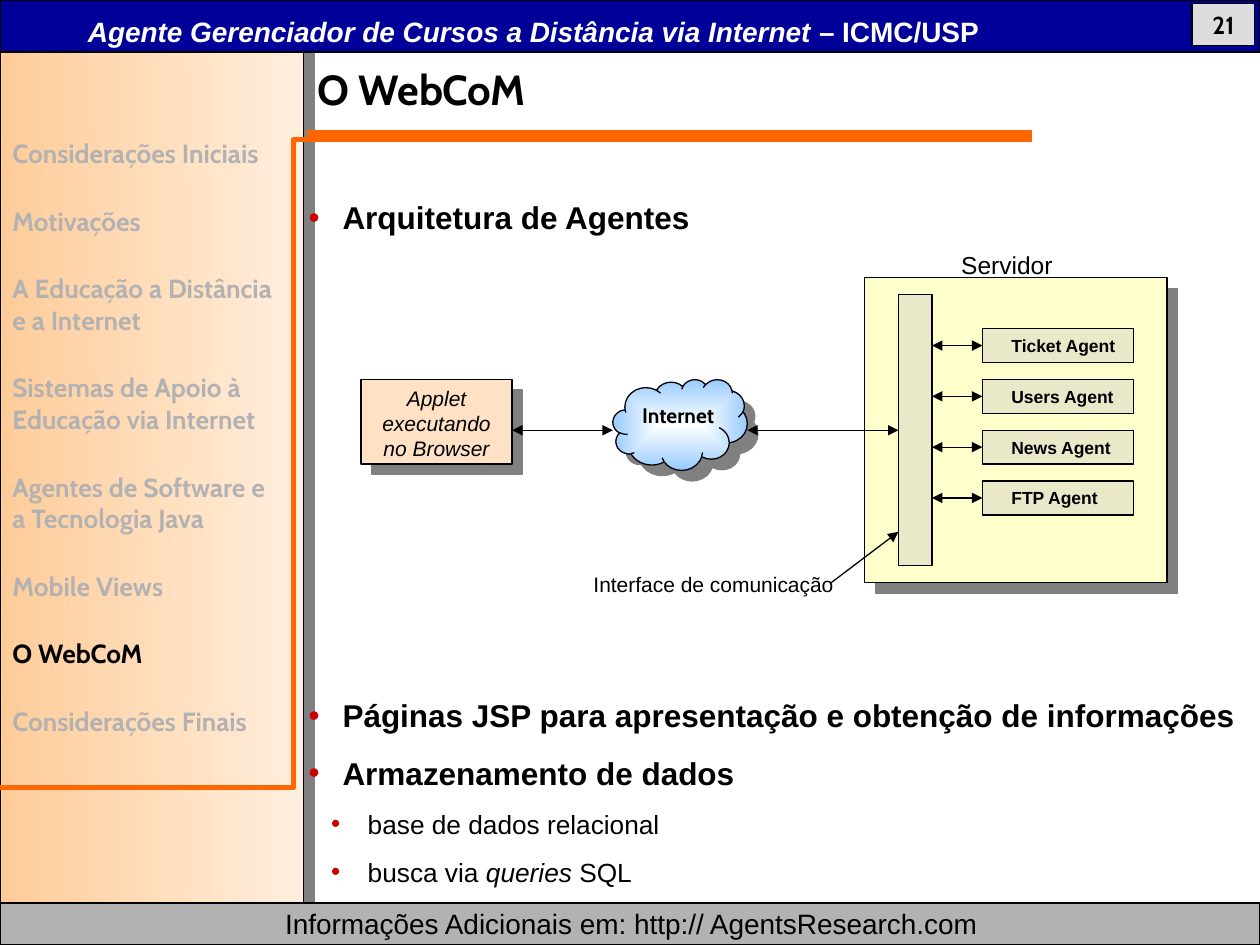
from lxml.etree import SubElement
from pptx import Presentation
from pptx.dml.color import RGBColor
from pptx.enum.shapes import MSO_CONNECTOR, MSO_SHAPE
from pptx.enum.text import MSO_ANCHOR, PP_ALIGN
from pptx.oxml.ns import qn
from pptx.util import Inches, Pt

BLACK = RGBColor(0, 0, 0)
WHITE = RGBColor(255, 255, 255)
NAVY = RGBColor(0x00, 0x00, 0x99)
GREY = RGBColor(0xB2, 0xB2, 0xB2)
LIGHT_GREY = RGBColor(0xDD, 0xDD, 0xDD)
ORANGE = RGBColor(0xFF, 0x66, 0x00)
PEACH = RGBColor(0xFF, 0xCC, 0x99)
PALE_PEACH = RGBColor(0xFF, 0xEE, 0xDD)
APPLET = RGBColor(0xFF, 0xE2, 0xC5)
YELLOW = RGBColor(0xFF, 0xFF, 0xCC)
BEIGE = RGBColor(0xE9, 0xE8, 0xC9)
SKY = RGBColor(0x99, 0xCC, 0xFF)

# Grids: left, top, column width, row height in inches
SLIDE = (0, 0, 0.1, 0.075)  # hundredths of the slide
DIAGRAM = (2.865, 2.205, 0.1333, 0.1344)

prs = Presentation()
prs.slide_width, prs.slide_height = Inches(10), Inches(7.5)
s = prs.slides.add_slide(prs.slide_layouts[6])


def write(p, text, size, color=BLACK, bold=False, font="Arial"):
    """Fill a paragraph; text between asterisks is italic."""
    for i, part in enumerate(text.split("*")):
        if part:
            r = p.add_run()
            r.text = part
            f = r.font
            f.name, f.size, f.bold, f.italic = font, Pt(size), bold, i % 2 == 1
            f.color.rgb = color


def put(grid, col, row, cols, rows, fill=None, shadow=False, kind=MSO_SHAPE.RECTANGLE):
    """Add a text box, or an outlined shape when a fill (or a pair of gradient colours) is given."""
    left, top, dx, dy = grid
    at = [Inches(v) for v in (left + col * dx, top + row * dy, cols * dx, rows * dy)]
    if fill is None:
        sp = s.shapes.add_textbox(*at)
    else:
        sp = s.shapes.add_shape(kind, *at)
        sp.shadow.inherit = False
        sp.line.color.rgb, sp.line.width = BLACK, Pt(0.75)
        sp.text_frame.margin_top = sp.text_frame.margin_bottom = 0
        if isinstance(fill, RGBColor):
            sp.fill.solid()
            sp.fill.fore_color.rgb = fill
        else:
            sp.fill.gradient()
            sp.fill.gradient_angle = 0
            for stop, color in zip(sp.fill.gradient_stops, fill):
                stop.color.rgb = color
        if shadow:
            effects = sp._element.spPr.find(qn("a:effectLst"))
            shade = SubElement(effects, qn("a:outerShdw"), dist=str(Pt(8.5)),
                               dir="2700000", algn="ctr", rotWithShape="0")
            SubElement(shade, qn("a:srgbClr"), val="808080")
    tf = sp.text_frame
    tf.word_wrap = True
    tf.vertical_anchor = MSO_ANCHOR.TOP if fill is None else MSO_ANCHOR.MIDDLE
    tf.paragraphs[0].alignment = PP_ALIGN.LEFT if fill is None else PP_ALIGN.CENTER
    return sp


# Frame
put(SLIDE, 0, 0, 24.1, 100, (PEACH, PALE_PEACH), shadow=True)
put(SLIDE, 0, 0, 100, 5.5, NAVY)
footer = put(SLIDE, 0, 95.55, 100, 4.4, GREY)
footer.text_frame.margin_left = Inches(0.12)
write(footer.text_frame.paragraphs[0],
      "Informações Adicionais em: http:// AgentsResearch.com", 16)
header = put(SLIDE, 6, 0.85, 80, 4.9)
write(header.text_frame.paragraphs[0],
      "*Agente Gerenciador de Cursos a Distância via Internet *– ICMC/USP", 16, WHITE, True)

# Title and bullets: text, size, bold, space before, left margin, hanging indent
BODY = [
    ("O WebCoM", 24, True, 0, 0.07, 0),
    ("Arquitetura de Agentes", 18, True, 48, 0.27, 0.27),
    ("Páginas JSP para apresentação e obtenção de informações", 18, True, 263, 0.27, 0.27),
    ("Armazenamento de dados", 18, True, 11.2, 0.27, 0.27),
    ("base de dados relacional", 15, False, 9.4, 0.47, 0.29),
    ("busca via *queries* SQL", 15, False, 9.4, 0.47, 0.29),
]
tf = put(SLIDE, 23.5, 6.1, 76.5, 88.5).text_frame
for i, (text, size, bold, before, margin, hanging) in enumerate(BODY):
    p = tf.add_paragraph() if i else tf.paragraphs[0]
    pPr = p._p.get_or_add_pPr()
    pPr.set("marL", str(Inches(margin)))
    pPr.set("indent", str(-Inches(hanging)))
    if i:
        p.space_before = Pt(before)
        SubElement(SubElement(pPr, qn("a:buClr")), qn("a:srgbClr"), val="CC0000")
        SubElement(pPr, qn("a:buFont"), typeface="Arial")
        SubElement(pPr, qn("a:buChar"), char="•")
    write(p, text, size, bold=bold, font="Arial" if i else "Cabin")

# Side menu
MENU = ["Considerações Iniciais", "Motivações", "A Educação a Distância e a Internet",
        "Sistemas de Apoio à Educação via Internet", "Agentes de Software e a Tecnologia Java",
        "Mobile Views", "O WebCoM", "Considerações Finais"]
tf = put(SLIDE, 0, 13.9, 23.2, 81.5).text_frame
for i, topic in enumerate(MENU):
    p = tf.add_paragraph() if i else tf.paragraphs[0]
    p.space_after = Pt(20.6)
    write(p, topic, 15, BLACK if topic == "O WebCoM" else GREY, True, "Cabin")

# Orange rule under the title and bracket around the menu
rule = s.shapes.add_connector(MSO_CONNECTOR.STRAIGHT, Inches(2.44), Inches(1.08),
                              Inches(8.19), Inches(1.08))
SubElement(rule._element.spPr, qn("a:effectLst"))
rule.line.color.rgb, rule.line.width = ORANGE, Pt(6.5)

outline = s.shapes.build_freeform(0, Inches(6.25))
outline.add_line_segments([(Inches(x), Inches(y)) for x, y in
                           [(2.33, 6.25), (2.33, 1.11), (2.48, 1.11)]], close=False)
bracket = outline.convert_to_shape()
bracket.shadow.inherit = False
bracket.fill.background()
bracket.line.color.rgb, bracket.line.width = ORANGE, Pt(3)

number = put(SLIDE, 94.6, 0.35, 5, 4.5, LIGHT_GREY)
write(number.text_frame.paragraphs[0], "21", 14, bold=True, font="Cabin")

# Architecture diagram
put(DIAGRAM, 30, 0, 18, 18, YELLOW, shadow=True)
cloud = put(DIAGRAM, 15, 6, 8, 5.36, (WHITE, SKY), shadow=True, kind=MSO_SHAPE.CLOUD)
grad = cloud._element.spPr.find(qn("a:gradFill"))
grad.remove(grad.find(qn("a:lin")))
radial = SubElement(grad, qn("a:path"), path="rect")
SubElement(radial, qn("a:fillToRect"), l="50000", t="50000", r="50000", b="50000")

applet = put(DIAGRAM, 0, 6, 9, 5, APPLET, shadow=True)
applet.text_frame.margin_top = Inches(0.02)
write(applet.text_frame.paragraphs[0], "*Applet executando no Browser*", 12)
interface = put(DIAGRAM, 32, 1, 2, 16, BEIGE)

for cells, text, size, bold, font in [
    ((16, 7, 8, 3), "Internet", 12, True, "Cabin"),
    ((35, -2, 8, 3), "Servidor", 14, False, "Arial"),
    ((13, 17, 16, 2), "Interface de comunicação", 12, False, "Arial"),
]:
    p = put(DIAGRAM, *cells).text_frame.paragraphs[0]
    p.alignment = PP_ALIGN.CENTER if cells[2] == 16 else PP_ALIGN.LEFT
    write(p, text, size, bold=bold, font=font)

# Arrows: start cell, end cell, double-headed, shape joined at its left side
arrows = [
    ((28, 18), (32, 15), False, None),
    ((9, 9), (15, 9), True, None),
    ((23, 9), (32, 9), True, interface),
]
for i, name in enumerate(["Ticket", "Users", "News", "FTP"]):
    agent = put(DIAGRAM, 37, 3 + 3 * i, 9, 2, BEIGE)
    agent.text_frame.margin_left = Inches(0.23)
    p = agent.text_frame.paragraphs[0]
    p.alignment = PP_ALIGN.LEFT
    write(p, f"{name} Agent", 10, bold=True)
    arrows.append(((34, 4 + 3 * i), (37, 4 + 3 * i), True, agent))

left, top, dx, dy = DIAGRAM
for start, end, double, target in arrows:
    points = [Inches(v) for col, row in (start, end) for v in (left + col * dx, top + row * dy)]
    arrow = s.shapes.add_connector(MSO_CONNECTOR.STRAIGHT, *points)
    if target:
        arrow.end_connect(target, 1)
    arrow.line.color.rgb, arrow.line.width = BLACK, Pt(0.75)
    ln = arrow.line._get_or_add_ln()
    for tag in ("a:headEnd", "a:tailEnd") if double else ("a:tailEnd",):
        SubElement(ln, qn(tag), type="triangle")
    SubElement(arrow._element.spPr, qn("a:effectLst"))

prs.save("out.pptx")
